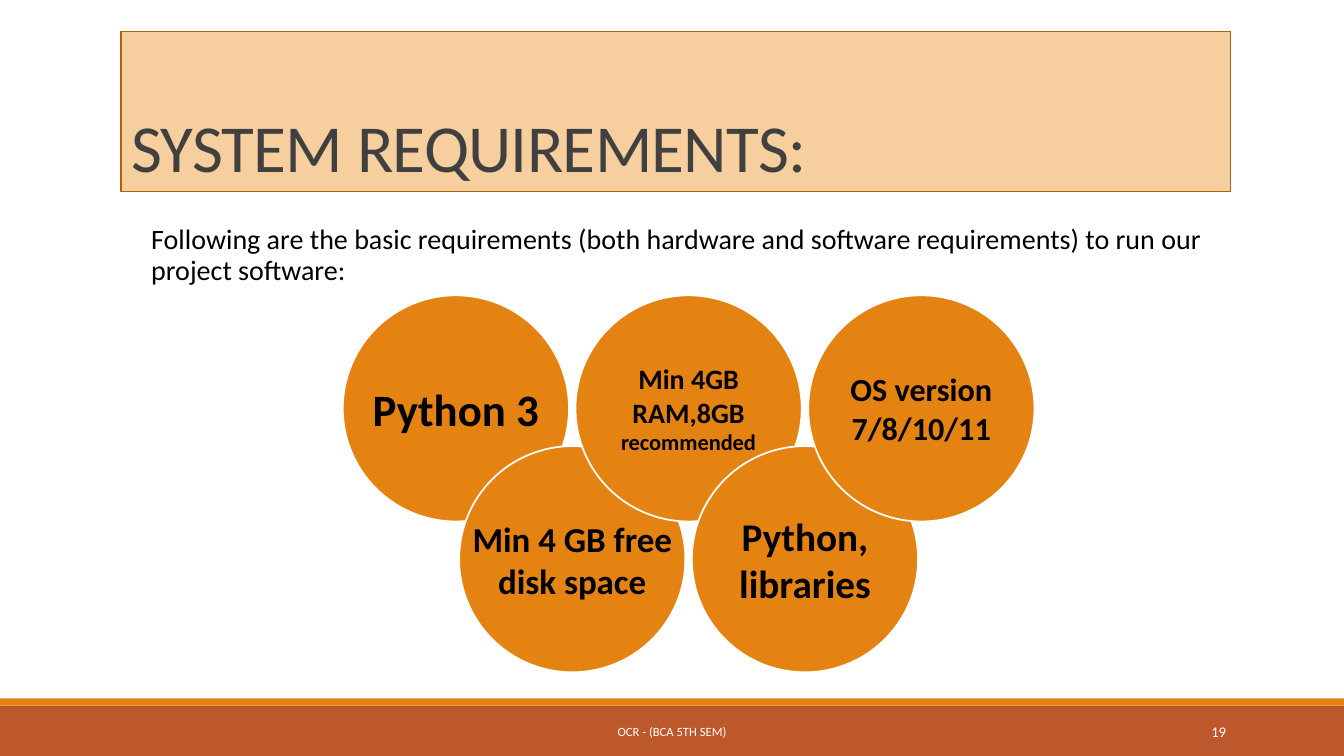
import pptx
import pptx.util
import pptx.dml.color
import pptx.enum.shapes
import pptx.enum.text
import lxml.etree

Inches, Pt = pptx.util.Inches, pptx.util.Pt
SHAPE = pptx.enum.shapes.MSO_SHAPE
ALIGN = pptx.enum.text.PP_ALIGN
ANCHOR = pptx.enum.text.MSO_ANCHOR

WIDTH, HEIGHT = 13.33, 7.5
COLORS = {
    "orange": "E48312", "rust": "BD582C", "peach": "F7CE9D", "brown": "AB620D",
    "gray": "808080", "dark": "404040", "black": "000000", "white": "FFFFFF",
}
REQUIREMENTS = [
    ([("Python 3", 32)], 0.13),
    ([("Min 4 GB free disk space", 25)], 0.1),
    ([("Min 4GB RAM,8GB ", 20), ("recommended", 16)], 0.08),
    ([("Python, libraries", 28)], 0.12),
    ([("OS version 7/8/10/11", 23)], 0.1),
]


def rgb(name):
    return pptx.dml.color.RGBColor.from_string(COLORS[name])


def apply(target, values):
    for name, value in values.items():
        setattr(target, name, value)


def place(sp, box):
    apply(sp, dict(zip(("left", "top", "width", "height"), map(Inches, box))))


def paint(sp, fill, line=None, weight=1):
    sp.fill.solid()
    sp.fill.fore_color.rgb = rgb(fill)
    if line:
        sp.line.color.rgb = rgb(line)
        sp.line.width = Pt(weight)
    else:
        sp.line.fill.background()


def add_filled(s, kind, box, fill, line=None, weight=1):
    sp = s.shapes.add_shape(kind, *map(Inches, box))
    sp.shadow.inherit = False
    paint(sp, fill, line, weight)


def write(sp, runs, color, anchor, align, insets=(0.1, 0.05), bold=False, spacing=1.0):
    tf = sp.text_frame
    x, y = map(Inches, insets)
    apply(tf, {"word_wrap": True, "auto_size": pptx.enum.text.MSO_AUTO_SIZE.NONE,
               "vertical_anchor": anchor, "margin_left": x, "margin_right": x,
               "margin_top": y, "margin_bottom": y})
    p = tf.paragraphs[0]
    apply(p, {"alignment": align, "line_spacing": spacing})
    for text, size in runs:
        r = p.add_run()
        r.text = text
        apply(r.font, {"name": "Calibri", "size": Pt(size), "bold": bold})
        r.font.color.rgb = rgb(color)
    return p


def add_text(s, box, *args, **kwargs):
    sp = s.shapes.add_textbox(*map(Inches, box))
    return write(sp, *args, **kwargs)


def add_title(s, box):
    left, top, width, height = box
    rule = s.shapes.add_connector(
        pptx.enum.shapes.MSO_CONNECTOR.STRAIGHT,
        *map(Inches, (left + 0.11, top + height, left + width, top + height)))
    rule.line.color.rgb = rgb("gray")
    rule.line.width = Pt(0.5)
    lxml.etree.SubElement(rule._element.spPr, pptx.oxml.ns.qn("a:effectLst"))
    title = s.shapes.title
    s.shapes._spTree.append(title._element)
    place(title, box)
    paint(title, "peach", "brown", 0.75)
    p = write(title, [("SYSTEM REQUIREMENTS:", 48)], "dark", ANCHOR.BOTTOM,
              ALIGN.LEFT, spacing=0.85)
    p.runs[0].font._element.set("spc", "-50")


def add_intro(s, box):
    text = ("Following are the basic requirements (both hardware and software "
            "requirements) to run our project software:")
    p = add_text(s, box, [(text, 20)], "black", ANCHOR.TOP, ALIGN.LEFT,
                 insets=(0, 0.05), spacing=0.9)
    p._p.get_or_add_pPr().set("marL", str(Inches(0.1)))


def add_circles(s, box):
    left, top, width, height = box
    size = height * 0.6
    step = (width - size) / (len(REQUIREMENTS) - 1)
    for i, (runs, inset) in enumerate(REQUIREMENTS):
        circle = (left + i * step, top + i % 2 * (height - size), size, size)
        add_filled(s, SHAPE.OVAL, circle, "orange", "white", 1.25)
        add_text(s, circle, runs, "black", ANCHOR.MIDDLE, ALIGN.CENTER,
                 insets=(inset, inset), bold=True)


def add_footer(s, box):
    left, top, width, height = box
    stripe = 0.07
    add_filled(s, SHAPE.RECTANGLE, (left, top + stripe, width, height - stripe), "rust")
    add_filled(s, SHAPE.RECTANGLE, (left, top, width, stripe), "orange")
    row = top + 0.13
    add_text(s, (left + 4.03, row, 5.27, 0.4), [("OCR - (BCA 5TH SEM)", 9)],
             "white", ANCHOR.MIDDLE, ALIGN.CENTER)
    add_text(s, (left + 10.83, row, 1.43, 0.4), [("19", 10.5)],
             "white", ANCHOR.MIDDLE, ALIGN.RIGHT)


def main():
    prs = pptx.Presentation()
    prs.slide_width, prs.slide_height = Inches(WIDTH), Inches(HEIGHT)
    s = prs.slides.add_slide(prs.slide_layouts[5])
    add_footer(s, (0, 6.93, WIDTH, HEIGHT - 6.93))
    add_title(s, (1.2, 0.31, 11, 1.59))
    add_intro(s, (1.4, 2.19, 10.53, 0.89))
    add_circles(s, (3.4, 2.93, 6.86, 3.74))
    prs.save("out.pptx")


if __name__ == "__main__":
    main()
